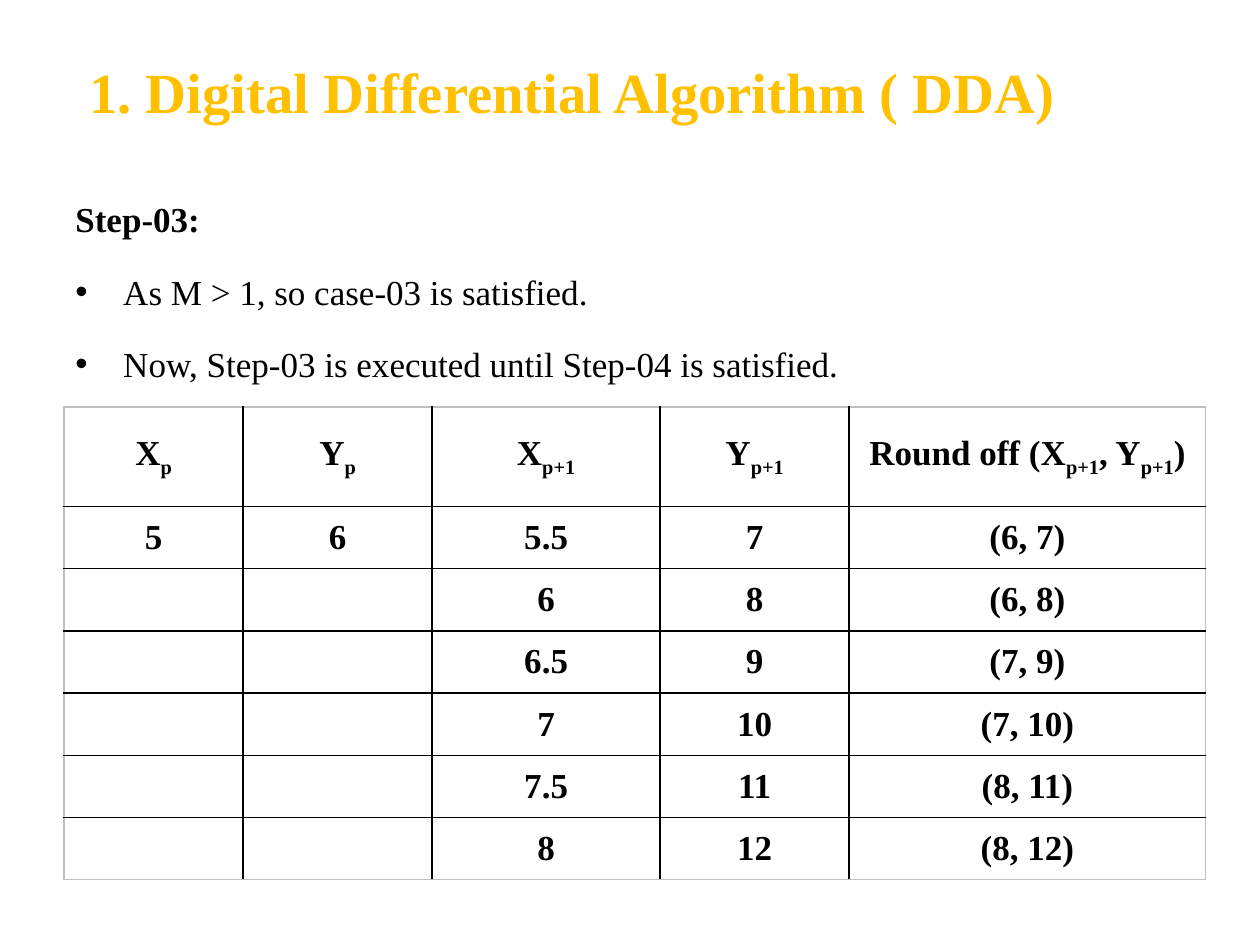
from lxml.etree import SubElement
from pptx import Presentation
from pptx.dml.color import RGBColor
from pptx.enum.text import MSO_ANCHOR as Anchor, PP_ALIGN as Align
from pptx.oxml.ns import qn
from pptx.util import Inches, Pt

FONT = "Times New Roman"
GOLD = RGBColor(0xFF, 0xC0, 0x00)
BLACK = RGBColor(0x00, 0x00, 0x00)
GREY = RGBColor(0xBF, 0xBF, 0xBF)

STEP_LINES = [
    "Step-03:",
    "As M > 1, so case-03 is satisfied.",
    "Now, Step-03 is executed until Step-04 is satisfied.",
]

# Every second part between bars is a subscript
HEADINGS = ["X|p", "Y|p", "X|p+1", "Y|p+1", "Round off (X|p+1|, Y|p+1|)"]
ROWS = [
    HEADINGS,
    ["5", "6", "5.5", "7", "(6, 7)"],
    ["", "", "6", "8", "(6, 8)"],
    ["", "", "6.5", "9", "(7, 9)"],
    ["", "", "7", "10", "(7, 10)"],
    ["", "", "7.5", "11", "(8, 11)"],
    ["", "", "8", "12", "(8, 12)"],
]
COLUMN_WIDTHS = [1.42, 1.5, 1.81, 1.5, 2.83]
HEADING_HEIGHT, ROW_HEIGHT = 0.79, 0.47


def format_run(run, size, color, bold):
    run.font.name = FONT
    run.font.size = Pt(size)
    run.font.bold = bold
    run.font.color.rgb = color


def add_title(slide, text):
    title = slide.shapes.title
    title.left, title.top = Inches(0.04), Inches(0.37)
    title.width, title.height = Inches(9), Inches(1.25)
    frame = title.text_frame
    frame.text = text
    frame.word_wrap = True
    frame.vertical_anchor = Anchor.TOP
    frame.margin_top = Inches(0.08)
    paragraph = frame.paragraphs[0]
    paragraph.alignment = Align.CENTER
    format_run(paragraph.runs[0], 32.4, GOLD, True)


def add_bullet(paragraph):
    properties = paragraph._p.get_or_add_pPr()
    properties.set("marL", str(Inches(0.38)))
    properties.set("indent", str(-Inches(0.38)))
    SubElement(properties, qn("a:buFont"), typeface="Arial")
    SubElement(properties, qn("a:buChar"), char="•")


def add_steps(slide, lines):
    box = slide.shapes.add_textbox(Inches(0.5), Inches(1.31), Inches(9), Inches(5.39))
    frame = box.text_frame
    frame.word_wrap = True
    frame.margin_top = Inches(0.09)
    frame.text = "\n".join(lines)
    for index, paragraph in enumerate(frame.paragraphs):
        is_heading = index == 0
        if not is_heading:
            add_bullet(paragraph)
            paragraph.space_before = Pt(5.5)
        paragraph.line_spacing = 1.5
        format_run(paragraph.runs[0], 20, BLACK, is_heading)


def set_border(cell, side, color):
    properties = cell._tc.get_or_add_tcPr()
    line = SubElement(properties, qn(f"a:ln{side}"), w=str(Pt(1)))
    fill = SubElement(line, qn("a:solidFill"))
    SubElement(fill, qn("a:srgbClr"), val=str(color))


def fill_cell(cell, text):
    cell.vertical_anchor = Anchor.MIDDLE
    cell.margin_left = cell.margin_right = Inches(0.1)
    cell.margin_top = cell.margin_bottom = Inches(0.08)
    paragraph = cell.text_frame.paragraphs[0]
    paragraph.alignment = Align.CENTER
    if not text:
        return
    for index, part in enumerate(text.split("|")):
        run = paragraph.add_run()
        run.text = part
        format_run(run, 20, BLACK, True)
        if index % 2:
            run._r.get_or_add_rPr().set("baseline", "-25000")


def add_points_table(slide, rows, widths):
    heights = [HEADING_HEIGHT] + [ROW_HEIGHT] * (len(rows) - 1)
    frame = slide.shapes.add_table(
        len(rows), len(widths), Inches(0.51), Inches(3.23),
        Inches(sum(widths)), Inches(sum(heights)))
    table = frame.table
    table.first_row = table.horz_banding = False
    for column, width in zip(table.columns, widths):
        column.width = Inches(width)
    last_row, last_column = len(rows) - 1, len(widths) - 1
    for r, values in enumerate(rows):
        table.rows[r].height = Inches(heights[r])
        for c, text in enumerate(values):
            cell = table.cell(r, c)
            # Grey around the table, black between the cells
            outer = {"L": c == 0, "R": c == last_column,
                     "T": r == 0, "B": r == last_row}
            for side, is_outer in outer.items():
                set_border(cell, side, GREY if is_outer else BLACK)
            cell.fill.background()
            fill_cell(cell, text)


def main():
    presentation = Presentation()
    presentation.slide_width = Inches(10)
    presentation.slide_height = Inches(7.5)
    slide = presentation.slides.add_slide(presentation.slide_layouts[5])
    add_steps(slide, STEP_LINES)
    add_points_table(slide, ROWS, COLUMN_WIDTHS)
    add_title(slide, "1. Digital Differential Algorithm ( DDA)")
    presentation.save("out.pptx")


if __name__ == "__main__":
    main()
